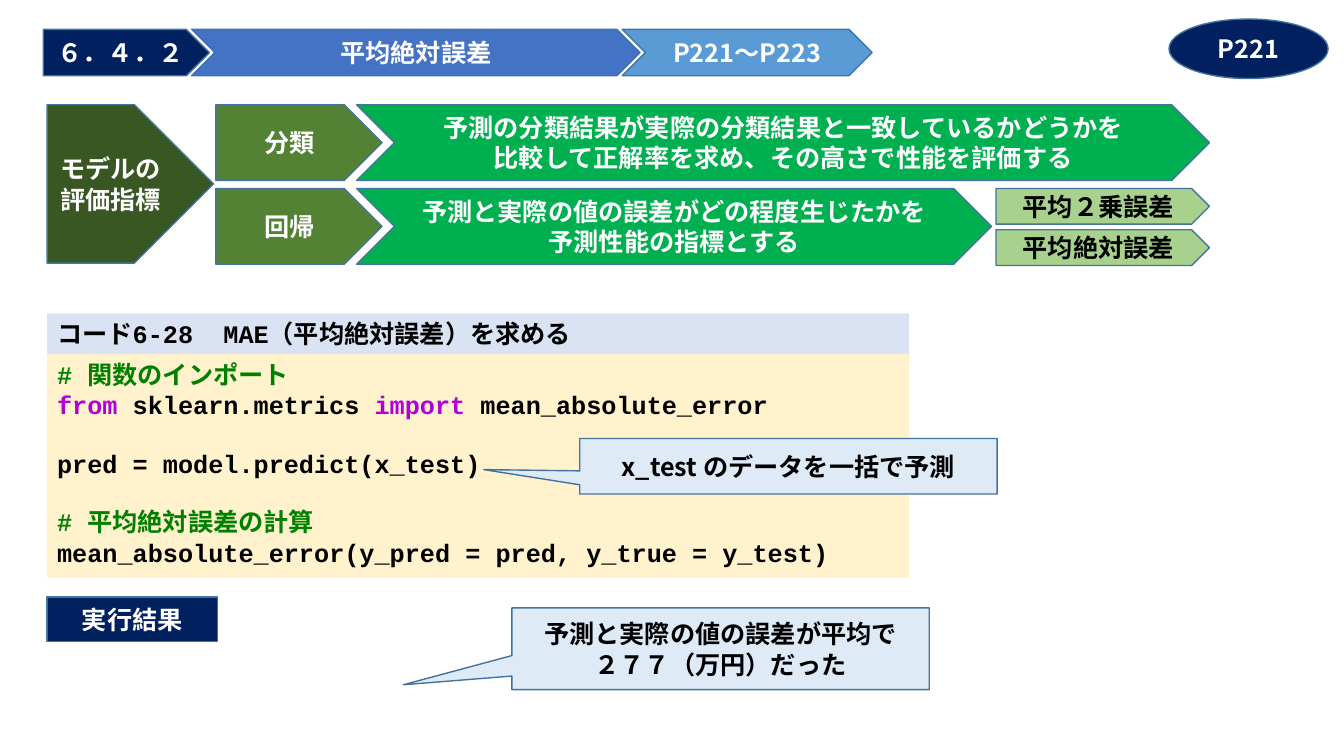
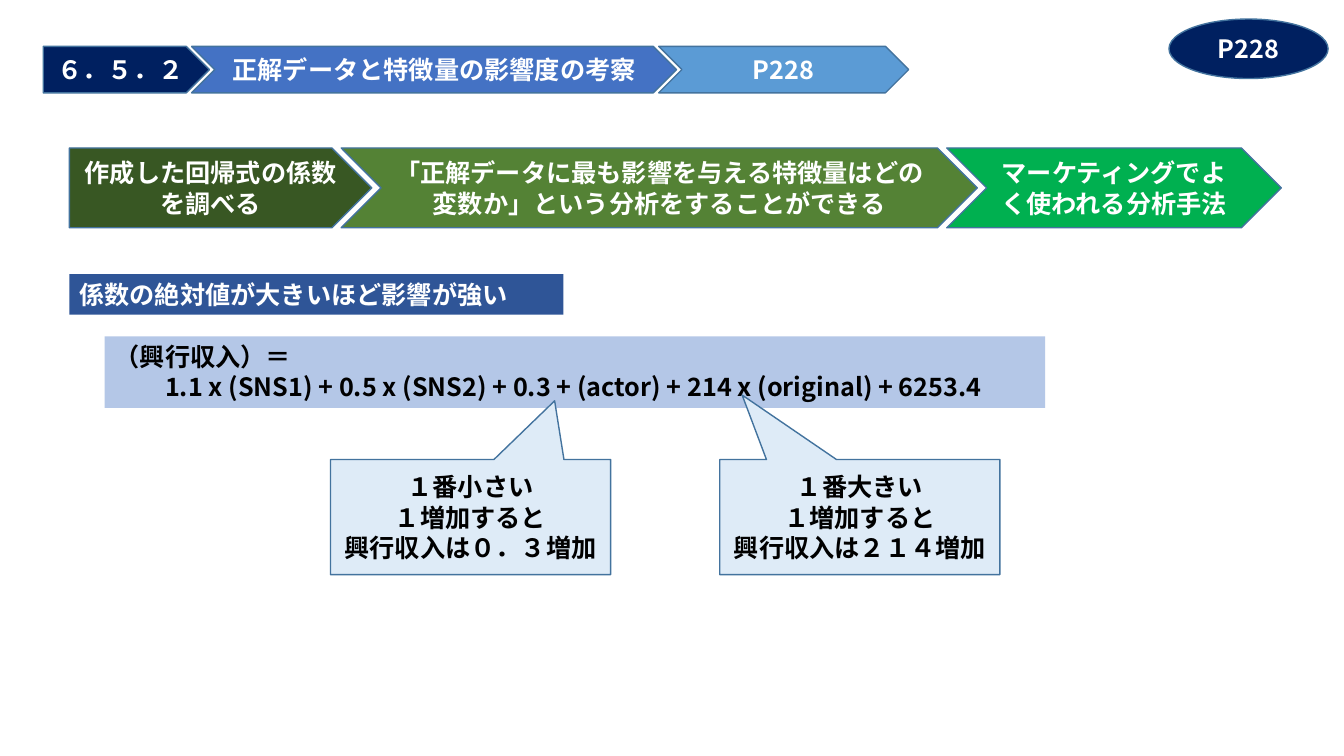
import dataclasses
import typing

import lxml.etree
import pptx
import pptx.dml.color
import pptx.enum.shapes
import pptx.enum.text
import pptx.oxml.ns
import pptx.slide
import pptx.util

Cm = pptx.util.Cm
Pt = pptx.util.Pt
SHAPE = pptx.enum.shapes.MSO_SHAPE
ANCHOR = pptx.enum.text.MSO_ANCHOR
ALIGN = pptx.enum.text.PP_ALIGN


@dataclasses.dataclass(frozen=True)
class Theme:
    font: str = "Noto Sans CJK JP"
    code_font: str = "Courier New"
    size: float = 18
    outline_width: float = 1
    white: str = "FFFFFF"
    black: str = "000000"
    outline: str = "43739E"
    navy: str = "002060"
    blue: str = "4472C4"
    sky: str = "5B9BD5"
    strip: str = "2F5597"
    formula: str = "B4C7E7"
    callout: str = "DEEBF7"
    forest: str = "385723"
    olive: str = "548235"
    green: str = "00B050"
    leaf: str = "A9D18E"
    code_head: str = "DAE3F3"
    code_body: str = "FFF2CC"
    comment: str = "008000"
    keyword: str = "AF00DB"


THEME = Theme()


class Run(typing.NamedTuple):
    text: str
    color: str | None = None


class Line(typing.NamedTuple):
    """A paragraph; before and indent are points."""
    runs: tuple[Run, ...]
    before: float = 0
    indent: float = 0


class Box(typing.NamedTuple):
    """Left, top, width and height in centimetres."""
    x: float
    y: float
    w: float
    h: float


class Stage(typing.NamedTuple):
    text: str
    width: float
    fill: str


@dataclasses.dataclass(frozen=True)
class Block:
    box: Box
    fill: str
    lines: tuple[Line, ...]
    kind: SHAPE = SHAPE.RECTANGLE
    ink: str = THEME.white
    font: str = THEME.font
    panel: bool = False  # unlined, with text from the top left
    adjust: tuple[float, ...] = ()


def lines(text: str) -> tuple[Line, ...]:
    return tuple(Line((Run(part),)) for part in text.split("\n"))


def rgb(color: str) -> pptx.dml.color.RGBColor:
    return pptx.dml.color.RGBColor.from_string(color)


def apply(target: object, values: dict[str, typing.Any]) -> None:
    for name, value in values.items():
        setattr(target, name, value)


def write(p: typing.Any, line: Line, block: Block) -> None:
    apply(p, {"alignment": ALIGN.LEFT if block.panel else ALIGN.CENTER,
              "space_before": Pt(line.before)})
    if line.indent:
        p._p.get_or_add_pPr().set("marL", str(Pt(line.indent)))
    for run in line.runs:
        r = p.add_run()
        r.text = run.text
        apply(r.font, {"name": block.font, "size": Pt(THEME.size), "bold": True})
        r.font.color.rgb = rgb(run.color or block.ink)
        ea = lxml.etree.SubElement(r._r.get_or_add_rPr(), pptx.oxml.ns.qn("a:ea"))
        ea.set("typeface", THEME.font)


def draw(s: pptx.slide.Slide, block: Block) -> None:
    sp = s.shapes.add_shape(block.kind, *map(Cm, block.box))
    sp.shadow.inherit = False
    sp.fill.solid()
    sp.fill.fore_color.rgb = rgb(block.fill)
    if block.panel:
        sp.line.fill.background()
    else:
        sp.line.color.rgb = rgb(THEME.outline)
        sp.line.width = Pt(THEME.outline_width)
    for i, value in enumerate(block.adjust):
        sp.adjustments[i] = value
    tf = sp.text_frame
    apply(tf, {"word_wrap": True,
               "vertical_anchor": ANCHOR.TOP if block.panel else ANCHOR.MIDDLE})
    for i, line in enumerate(block.lines):
        write(tf.add_paragraph() if i else tf.paragraphs[0], line, block)


def draw_flow(s: pptx.slide.Slide, x: float, y: float, h: float,
              overlap: float, stages: list[Stage]) -> None:
    """Draw a pentagon followed by chevrons, each tucked into the one before."""
    for i, stage in enumerate(stages):
        kind = SHAPE.CHEVRON if i else SHAPE.PENTAGON
        draw(s, Block(Box(x, y, stage.width, h), stage.fill, lines(stage.text), kind))
        x += stage.width - overlap


def draw_header(s: pptx.slide.Slide, y: float, number: str, title: str,
                title_width: float, pages: str, badge: str) -> None:
    draw_flow(s, 1.09, y, 1.17, 0.45, [
        Stage(number, 4.19, THEME.navy),
        Stage(title, title_width, THEME.blue),
        Stage(pages, 6.3, THEME.sky),
    ])
    draw(s, Block(Box(29.46, 0.48, 4.01, 1.5), THEME.navy, lines(badge), SHAPE.OVAL))


def draw_callout(s: pptx.slide.Slide, box: Box, text: str, tip: tuple[float, float]) -> None:
    draw(s, Block(box, THEME.callout, lines(text), SHAPE.RECTANGULAR_CALLOUT,
                  THEME.black, adjust=tip))


def draw_metrics(s: pptx.slide.Slide) -> None:
    left, top, step = 1.19, 2.64, 2.11
    draw(s, Block(Box(left, top, 4.19, 3.99), THEME.forest,
                  lines("モデルの\n評価指標"), SHAPE.PENTAGON))
    branches = [
        ("分類", 21.49, "予測の分類結果が実際の分類結果と一致しているかどうかを\n"
                       "比較して正解率を求め、その高さで性能を評価する"),
        ("回帰", 16, "予測と実際の値の誤差がどの程度生じたかを\n予測性能の指標とする"),
    ]
    for i, (name, width, text) in enumerate(branches):
        draw_flow(s, 5.44, top + i * step, 1.91, 0.64, [
            Stage(name, 4.19, THEME.olive), Stage(text, width, THEME.green)])
    for i, name in enumerate(["平均２乗誤差", "平均絶対誤差"]):
        draw(s, Block(Box(25.1, top + step + i * 1.04, 5.38, 0.9), THEME.leaf,
                      lines(name), SHAPE.PENTAGON, THEME.black))


def draw_code(s: pptx.slide.Slide) -> None:
    left, top, width, head = 1.19, 7.9, 21.72, 1.02
    code = (
        Line((Run("# 関数のインポート", THEME.comment),)),
        Line((Run("from", THEME.keyword), Run(" sklearn.metrics "),
              Run("import", THEME.keyword), Run(" mean_absolute_error"))),
        Line((Run("pred = model.predict(x_test)"),), before=20.4),
        Line((Run("# 平均絶対誤差の計算", THEME.comment),), before=20.4),
        Line((Run("mean_absolute_error(y_pred = pred, y_true = y_test)"),)),
    )
    panels = [
        (top, head, THEME.code_head, lines("コード6-28  MAE（平均絶対誤差）を求める")),
        (top + head, 5.64, THEME.code_body, code),
    ]
    for y, h, fill, content in panels:
        draw(s, Block(Box(left, y, width, h), fill, content, ink=THEME.black,
                      font=THEME.code_font, panel=True))


def build_error_slide(s: pptx.slide.Slide) -> None:
    draw_header(s, 0.74, "６．４．２", "平均絶対誤差", 11.3, "P221～P223", "P221")
    draw_metrics(s)
    draw_code(s)
    draw_callout(s, Box(14.61, 11.05, 10.52, 1.4),
                 "x_test のデータを一括で予測", (-0.73, 0.06))
    draw(s, Block(Box(1.19, 15.04, 4.29, 1.12), THEME.navy, lines("実行結果")))
    draw_callout(s, Box(12.9, 15.32, 10.52, 2.06),
                 "予測と実際の値の誤差が平均で\n２７７（万円）だった", (-0.76, 0.44))


def build_influence_slide(s: pptx.slide.Slide) -> None:
    draw_header(s, 1.17, "６．５．２", "正解データと特徴量の影響度の考察", 12.22, "P228", "P228")
    draw_flow(s, 1.75, 3.73, 2.01, 0.77, [
        Stage("作成した回帰式の係数を調べる", 7.62, THEME.forest),
        Stage("「正解データに最も影響を与える特徴量はどの変数か」という分析をすることができる",
              16.03, THEME.olive),
        Stage("マーケティングでよく使われる分析手法", 8.43, THEME.green),
    ])
    draw(s, Block(Box(1.75, 6.91, 12.45, 1.02), THEME.strip,
                  lines("係数の絶対値が大きいほど影響が強い"), panel=True))
    formula = (
        Line((Run("（興行収入）＝"),)),
        Line((Run("1.1 x (SNS1) + 0.5 x (SNS2) + 0.3 + (actor) + 214 x (original) + 6253.4"),),
             indent=2 * THEME.size),
    )
    draw(s, Block(Box(2.64, 8.48, 23.7, 1.8), THEME.formula, formula,
                  ink=THEME.black, panel=True))
    effects = [
        (18.14, "大きい", "２１４", (-0.42, -1.06)),
        (8.33, "小さい", "０．３", (0.3, -1.01)),
    ]
    for x, rank, gain, tip in effects:
        draw_callout(s, Box(x, 11.58, 7.06, 2.9),
                     f"１番{rank}\n１増加すると\n興行収入は{gain}増加", tip)


def main() -> None:
    prs = pptx.Presentation()
    apply(prs, {"slide_width": Cm(33.87), "slide_height": Cm(19.05)})
    for build in (build_error_slide, build_influence_slide):
        build(prs.slides.add_slide(prs.slide_layouts[6]))
    prs.save("out.pptx")


if __name__ == "__main__":
    main()
